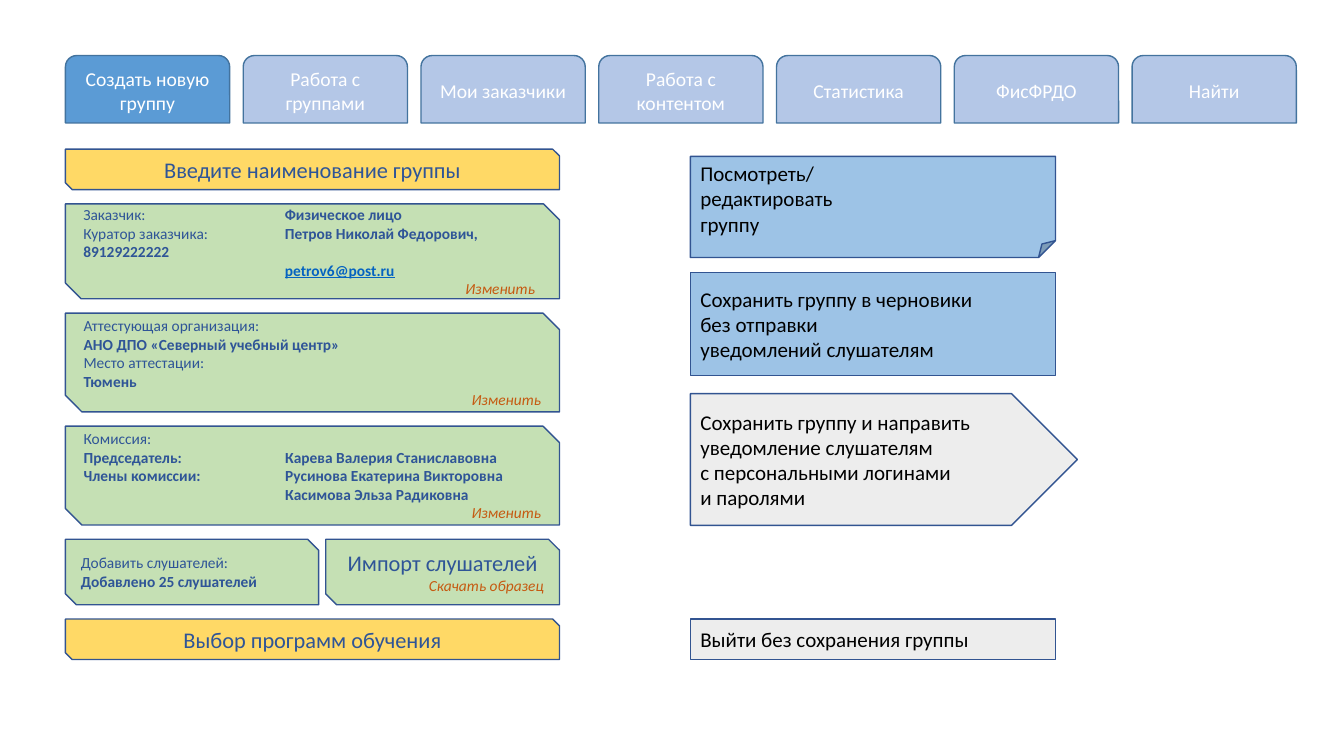
from lxml import etree
from pptx import Presentation
from pptx import util as u
from pptx.dml.color import RGBColor
from pptx.enum import shapes, text
from pptx.oxml.ns import qn

HEX = {
    "active": "5B9BD5", "idle": "B4C7E7", "rim": "43739E", "edge": "325491",
    "gold": "FFD966", "green": "C5E0B4", "sky": "9DC3E6", "grey": "EDEDED",
    "white": "FFFFFF", "black": "000000", "navy": "2F5597",
    "link": "0563C1", "rust": "C55A11",
}
# name: (size, colour, bold, italic, underline)
STYLES = {
    "tab": (14, "white", False, False, False),
    "head": (16, "navy", False, False, False),
    "label": (11, "navy", False, False, False),
    "value": (11, "navy", True, False, False),
    "mail": (11, "link", True, False, True),
    "edit": (11, "rust", False, True, False),
    "action": (15, "black", False, False, False),
}
FORM = shapes.MSO_SHAPE
LEFT, CENTER, RIGHT = text.PP_ALIGN.LEFT, text.PP_ALIGN.CENTER, text.PP_ALIGN.RIGHT


class Page:
    font = "Calibri"

    def __init__(self, slide):
        self.slide = slide

    def style(self, font, name):
        size, tint, font.bold, font.italic, font.underline = STYLES[name]
        font.name, font.size = self.font, u.Pt(size)
        font.color.rgb = RGBColor.from_string(HEX[tint])

    def line(self, para, runs, align=LEFT, stops=()):
        """Fill a paragraph with (style, text) runs; the first style is its base."""
        para.alignment = align
        if stops:
            tabs = etree.SubElement(para._p.get_or_add_pPr(), qn("a:tabLst"))
            for stop in stops:
                etree.SubElement(tabs, qn("a:tab"), pos=str(u.Cm(stop)), algn="l")
        base = runs[0][0]
        self.style(para.font, base)
        for name, words in runs:
            run = para.add_run()
            run.text = words
            if name != base:
                self.style(run.font, name)

    def box(self, form, place, fill, lines, edge="edge"):
        """Draw a shape; each line is (runs, align, tab stops), the last two optional."""
        shape = self.slide.shapes.add_shape(form, *map(u.Cm, place))
        shape.shadow.inherit = False
        shape.fill.solid()
        shape.fill.fore_color.rgb = RGBColor.from_string(HEX[fill])
        shape.line.color.rgb = RGBColor.from_string(HEX[edge])
        shape.line.width = u.Pt(1)
        frame = shape.text_frame
        frame.word_wrap = True
        frame.vertical_anchor = text.MSO_ANCHOR.MIDDLE
        for i, line in enumerate(lines):
            para = frame.add_paragraph() if i else frame.paragraphs[0]
            self.line(para, *line)

    def menu(self, names):
        for i, name in enumerate(names):
            self.box(FORM.ROUND_2_SAME_RECTANGLE, (1.65 + 4.48 * i, 1.4, 4.14, 1.7),
                     "idle" if i else "active", [([("tab", name)], CENTER)], "rim")

    def panel(self, place, fill, lines):
        self.box(FORM.SNIP_2_DIAG_RECTANGLE, place, fill, lines)

    def action(self, form, place, fill, rows):
        self.box(form, place, fill, [([("action", row)],) for row in rows])


def row(*runs):
    """Left line whose second column starts at the first tab stop."""
    return runs, LEFT, (5.08, 9.63)


def main():
    deck = Presentation()
    deck.slide_width, deck.slide_height = u.Cm(33.87), u.Cm(19.05)
    page = Page(deck.slides.add_slide(deck.slide_layouts[6]))

    page.menu(["Создать новую группу", "Работа с группами", "Мои заказчики",
               "Работа с контентом", "Статистика", "ФисФРДО", "Найти"])

    edit = ([("edit", "Изменить")], RIGHT)
    x, wide, gap, top = 1.65, 12.45, 0.36, 3.76
    form = [
        (1.02, [(wide, "gold", [([("head", "Введите наименование группы")], CENTER)])]),
        (2.39, [(wide, "green", [
            row(("label", "Заказчик:\t"), ("value", "Физическое лицо")),
            row(("label", "Куратор заказчика:\t"), ("value", "Петров Николай Федорович,")),
            row(("value", "89129222222")),
            row(("label", "\t"), ("mail", "petrov6@post.ru")),
            row(("edit", "\t\tИзменить")),
        ])]),
        (2.49, [(wide, "green", [
            row(("label", "Аттестующая организация:")),
            row(("value", "АНО ДПО «Северный учебный центр»")),
            row(("label", "Место аттестации:")),
            row(("value", "Тюмень")),
            edit,
        ])]),
        (2.49, [(wide, "green", [
            row(("label", "Комиссия:")),
            row(("value", "Председатель:\tКарева Валерия Станиславовна")),
            row(("value", "Члены комиссии:\tРусинова Екатерина Викторовна")),
            row(("value", "\tКасимова Эльза Радиковна")),
            edit,
        ])]),
        (1.65, [
            (6.38, "green", [
                row(("label", "Добавить слушателей:")),
                row(("value", "Добавлено 25 слушателей")),
            ]),
            (5.89, "green", [
                ([("head", "Импорт слушателей")], CENTER),
                ([("edit", "Скачать образец")], RIGHT),
            ]),
        ]),
        (1.02, [(wide, "gold", [([("head", "Выбор программ обучения")], CENTER)])]),
    ]
    for high, cells in form:
        left = x
        for width, fill, lines in cells:
            page.panel((left, top, width, high), fill, lines)
            left += width + 0.18
        top += high + gap

    side, span = 17.4, 9.2
    page.action(FORM.FOLDED_CORNER, (side, 3.94, span, 2.55), "sky",
                ["Посмотреть/", "редактировать", "группу"])
    page.action(FORM.RECTANGLE, (side, 6.87, span, 2.6), "sky",
                ["Сохранить группу в черновики", "без отправки",
                 "уведомлений слушателям"])
    page.action(FORM.PENTAGON, (side, 9.92, 9.75, 3.32), "grey",
                ["Сохранить группу и направить", "уведомление слушателям",
                 "с персональными логинами", "и паролями"])
    page.action(FORM.RECTANGLE, (side, 15.6, span, 1.02), "grey",
                ["Выйти без сохранения группы"])

    deck.save("out.pptx")


if __name__ == "__main__":
    main()
